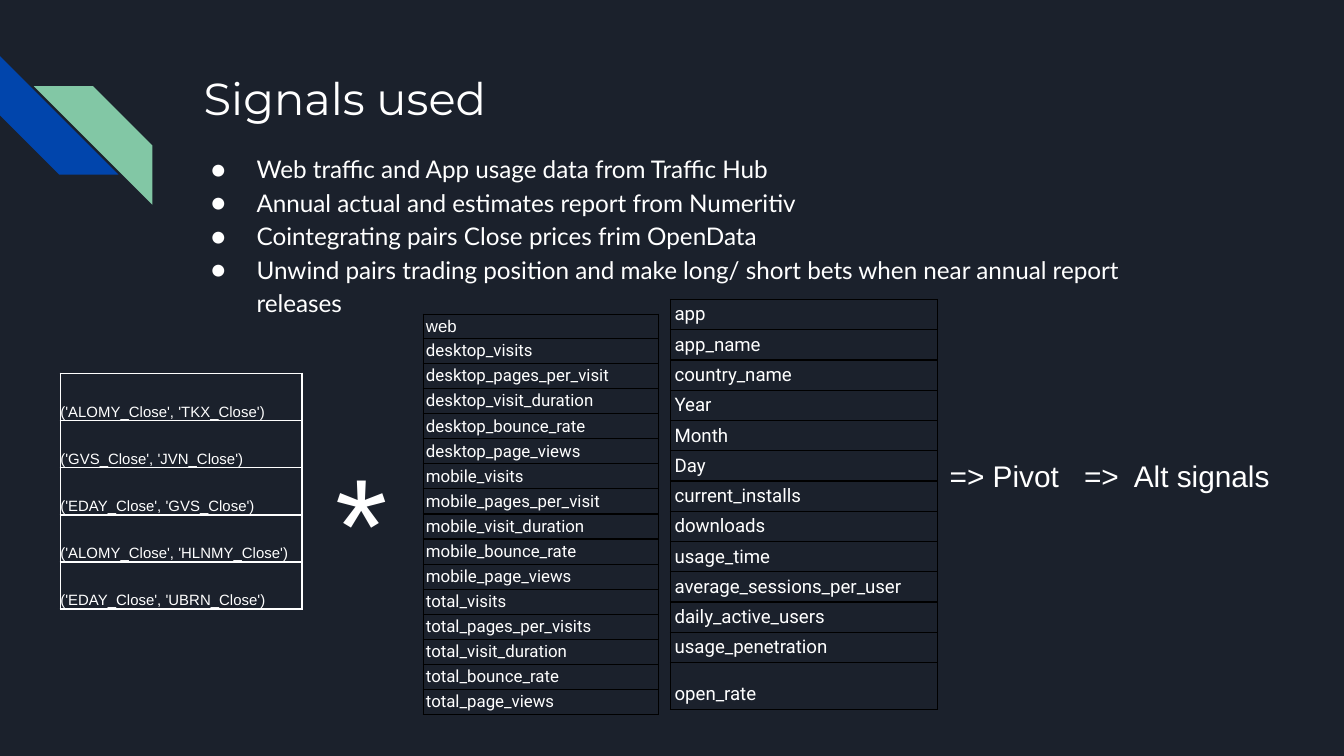
from dataclasses import dataclass

from lxml import etree
from pptx import Presentation
from pptx import util as u
from pptx.dml.color import RGBColor as Rgb
from pptx.enum import shapes, text
from pptx.oxml import ns


@dataclass(frozen=True)
class Theme:
    back = Rgb.from_string("1B212C")
    blue = Rgb.from_string("0145AC")
    green = Rgb.from_string("82C7A5")
    white = Rgb.from_string("FFFFFF")
    black = Rgb.from_string("000000")
    head = ("Montserrat", 24)
    list = ("Lato", 13)
    pair = ("Arial", 8)
    web = ("Roboto", 9)
    app = ("Roboto", 10)
    star = ("Arial", 72)
    flow = ("Arial", 16)


theme = Theme()


def style(frame, font, pad, anchor=text.MSO_ANCHOR.TOP):
    """Set font, insets (cm) and anchor of a text frame or a table cell."""
    frame.margin_left = frame.margin_right = u.Cm(pad)
    frame.margin_top = frame.margin_bottom = u.Cm(pad)
    frame.vertical_anchor = anchor
    for par in getattr(frame, "text_frame", frame).paragraphs:
        par.alignment = text.PP_ALIGN.LEFT
        for run in par.runs:
            run.font.name, run.font.size = font[0], u.Pt(font[1])
            run.font.color.rgb = theme.white


def grid(names, left, top, width, row, font, pad, line, weight):
    """Add a one-column table with ruled, unfilled cells."""
    frame = slide.shapes.add_table(len(names), 1, u.Cm(left), u.Cm(top),
                                   u.Cm(width), u.Cm(row * len(names)))
    table = frame.table
    table.first_row = table.horz_banding = False
    for i, name in enumerate(names):
        cell = table.cell(i, 0)
        cell.text_frame.text = name
        style(cell, font, pad, text.MSO_ANCHOR.BOTTOM)
        props = cell._tc.get_or_add_tcPr()
        for side in "LRTB":
            edge = etree.SubElement(props, ns.qn(f"a:ln{side}"), w=str(u.Pt(weight)))
            fill = etree.SubElement(edge, ns.qn("a:solidFill"))
            etree.SubElement(fill, ns.qn("a:srgbClr"), val=str(line))
        cell.fill.background()
    return table


deck = Presentation()
deck.slide_width, deck.slide_height = u.Cm(25.4), u.Cm(14.29)
slide = deck.slides.add_slide(deck.slide_layouts[1])
slide.background.fill.solid()
slide.background.fill.fore_color.rgb = theme.back

# Corner stripes
for left, top, turn, flip, color in ((0, 1.06, 270, "0", theme.blue),
                                     (0.64, 1.63, 0, "1", theme.green)):
    stripe = slide.shapes.add_shape(shapes.MSO_SHAPE.DIAGONAL_STRIPE,
                                    u.Cm(left), u.Cm(top), u.Cm(2.24), u.Cm(2.24))
    stripe.rotation = turn
    stripe._element.spPr.xfrm.set("flipH", flip)
    stripe.shadow.inherit = False
    stripe.fill.solid()
    stripe.fill.fore_color.rgb = color
    stripe.line.fill.background()

# Title and list
title, body = slide.shapes.title, slide.placeholders[1]
title.left, title.top, title.width, title.height = map(u.Cm, (3.6, 1.09, 19.56, 2.54))
body.left, body.top, body.width, body.height = map(u.Cm, (3.33, 2.59, 19.56, 8.08))
title.text_frame.text = "Signals used"
body.text_frame.text = "\n".join((
    "Web traffic and App usage data from Traffic Hub",
    "Annual actual and estimates report from Numeritiv",
    "Cointegrating pairs Close prices frim OpenData",
    "Unwind pairs trading position and make long/ short bets when near annual report releases",
))
for shape, font in ((title, theme.head), (body, theme.list)):
    shape.text_frame.auto_size = text.MSO_AUTO_SIZE.NONE
    style(shape.text_frame, font, 0.25)
for par in body.text_frame.paragraphs:
    par.line_spacing = 1.15
    par.space_before = u.Pt(0)
    props = par._p.get_or_add_pPr()
    props.set("marL", str(u.Cm(1.27)))
    props.set("indent", str(u.Cm(-0.86)))
    tint = etree.SubElement(props, ns.qn("a:buClr"))
    etree.SubElement(tint, ns.qn("a:srgbClr"), val=str(theme.white))
    etree.SubElement(props, ns.qn("a:buFont"), typeface=theme.list[0])
    etree.SubElement(props, ns.qn("a:buChar"), char="●")

# Tables of pairs, web signals and app signals
visits = ("visits", "pages_per_visit", "visit_duration", "bounce_rate", "page_views")
web = ["web"] + [f"{kind}_{item}" for kind in ("desktop", "mobile", "total")
                 for item in visits]
web[web.index("total_pages_per_visit")] = "total_pages_per_visits"
table = grid(web, 8, 5.94, 4.45, 0.45, theme.web, 0.05, theme.black, 0.75)
table.cell(0, 0).text_frame.paragraphs[0].runs[0].font.name = "Arial"

pairs = (("ALOMY", "TKX"), ("GVS", "JVN"), ("EDAY", "GVS"),
         ("ALOMY", "HLNMY"), ("EDAY", "UBRN"))
grid([f"('{a}_Close', '{b}_Close')" for a, b in pairs],
     1.14, 7.06, 4.57, 0.89, theme.pair, 0, theme.white, 1)

app = ("app", "app_name", "country_name", "Year", "Month", "Day", "current_installs",
       "downloads", "usage_time", "average_sessions_per_user", "daily_active_users",
       "usage_penetration", "open_rate")
table = grid(app, 12.67, 5.66, 5.05, 0.56, theme.app, 0.08, theme.black, 0.75)
table.rows[len(app) - 1].height = u.Cm(0.89)

# Operators between the tables
for words, left, top, width, height, font in (
        ("*", 6.1, 8.18, 1.3, 3.33, theme.star),
        ("=> Pivot\t=>\tAlt signals", 17.7, 8.53, 6.68, 0.94, theme.flow)):
    box = slide.shapes.add_textbox(u.Cm(left), u.Cm(top), u.Cm(width), u.Cm(height))
    box.text_frame.word_wrap = True
    box.text_frame.text = words
    style(box.text_frame, font, 0.25)
    box.text_frame.margin_top = box.text_frame.margin_bottom = u.Cm(0.13)
props = box.text_frame.paragraphs[0]._p.get_or_add_pPr()
stops = etree.SubElement(props, ns.qn("a:tabLst"))
for stop in (2.54, 3.48):
    etree.SubElement(stops, ns.qn("a:tab"), pos=str(u.Cm(stop)), algn="l")

deck.save("out.pptx")
